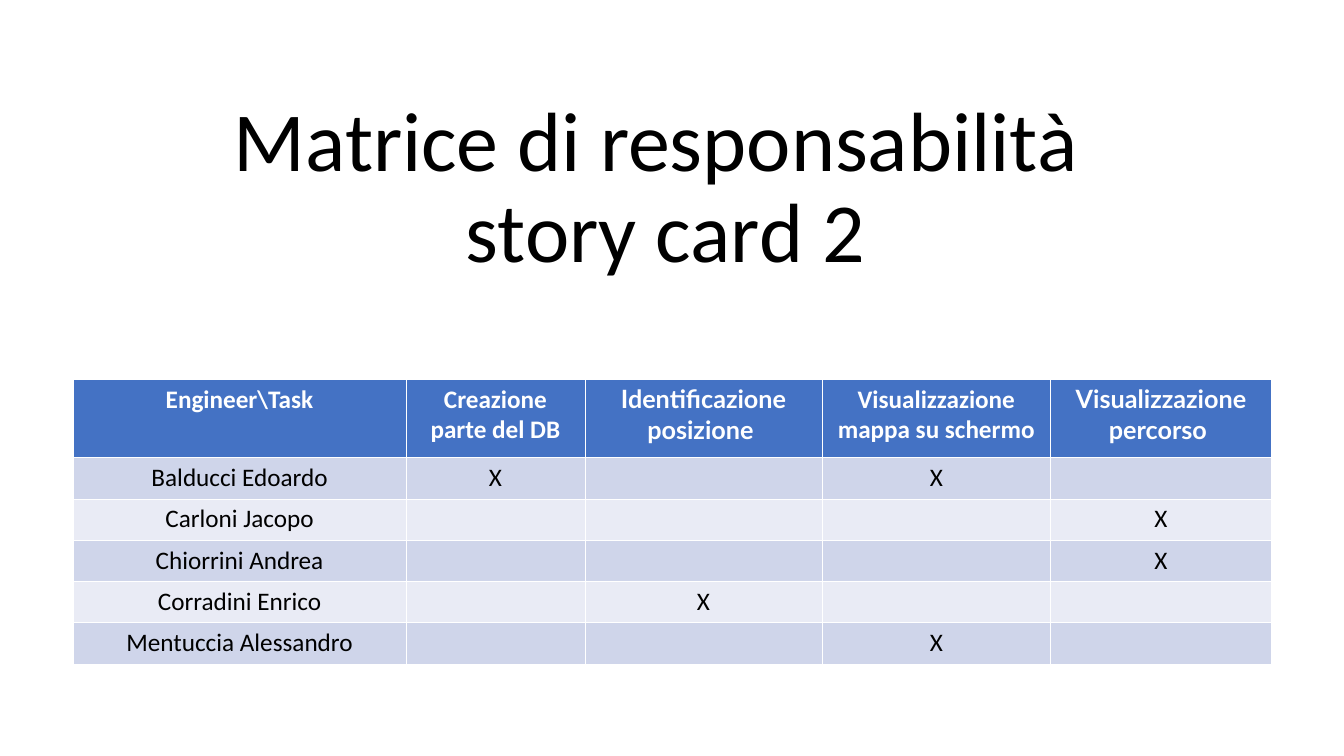
from lxml.etree import SubElement
from pptx import Presentation
from pptx.dml.color import RGBColor
from pptx.enum.text import MSO_ANCHOR as Anchor, PP_ALIGN as Align
from pptx.oxml.ns import qn
from pptx.util import Cm, Pt

TITLE_LINES = ["Matrice di responsabilità ", "story card 2"]
# Task heading, font, column width in cm
TASKS = [
    ("Engineer\\Task", "Calibri", 8.38),
    ("Creazione parte del DB", "Calibri", 4.52),
    ("Identificazione posizione ", "Lato", 5.97),
    ("Visualizzazione mappa su schermo", "Calibri", 5.77),
    ("Visualizzazione percorso ", "Lato", 5.56),
]
# Engineer, columns of the assigned tasks
ENGINEERS = [
    ("Balducci Edoardo", [1, 3]),
    ("Carloni Jacopo", [4]),
    ("Chiorrini Andrea", [4]),
    ("Corradini Enrico", [2]),
    ("Mentuccia Alessandro", [3]),
]
HEADER_HEIGHT, ROW_HEIGHT = 1.98, 1.04
THIN, THICK = Pt(0.45), Pt(1.47)

BLACK = RGBColor(0x00, 0x00, 0x00)
WHITE = RGBColor(0xFF, 0xFF, 0xFF)
BLUE = RGBColor(0x44, 0x72, 0xC4)
BANDS = [RGBColor(0xCF, 0xD5, 0xEA), RGBColor(0xE9, 0xEB, 0xF5)]


def add_span(para, text, size, color, font="Calibri", bold=False):
    span = para.add_run()
    span.text = text
    span.font.size = Pt(size)
    span.font.name = font
    span.font.bold = bold
    span.font.color.rgb = color


def add_borders(cell, top, bottom):
    properties = cell._tc.get_or_add_tcPr()
    for side, width in (("L", THIN), ("R", THIN), ("T", top), ("B", bottom)):
        line = SubElement(properties, qn(f"a:ln{side}"), w=str(int(width)))
        fill = SubElement(line, qn("a:solidFill"))
        SubElement(fill, qn("a:srgbClr"), val=str(WHITE))


def fill_cell(cell, row, text, font="Calibri"):
    header = row == 0
    add_borders(cell, THICK if row == 1 else THIN, THICK if header else THIN)
    cell.fill.solid()
    cell.fill.fore_color.rgb = BLUE if header else BANDS[(row - 1) % 2]
    para = cell.text_frame.paragraphs[0]
    para.alignment = Align.CENTER
    if text:
        add_span(para, text, 18, WHITE if header else BLACK, font, header)


def add_title(page):
    box = page.shapes.add_textbox(Cm(1.55), Cm(1.98), Cm(30.45), Cm(5.21))
    frame = box.text_frame
    frame.word_wrap = True
    frame.vertical_anchor = Anchor.BOTTOM
    para = frame.paragraphs[0]
    para.alignment = Align.CENTER
    para.line_spacing = 0.9
    for number, line in enumerate(TITLE_LINES):
        if number:
            para.add_line_break()
        add_span(para, line, 60, BLACK)


def add_matrix(page):
    heights = [HEADER_HEIGHT] + [ROW_HEIGHT] * len(ENGINEERS)
    widths = [width for _, _, width in TASKS]
    table = page.shapes.add_table(
        len(heights), len(widths), Cm(1.85), Cm(9.55),
        Cm(sum(widths)), Cm(sum(heights))).table
    for row, height in zip(table.rows, heights):
        row.height = Cm(height)
    for col, (task, font, width) in enumerate(TASKS):
        table.columns[col].width = Cm(width)
        fill_cell(table.cell(0, col), 0, task, font)
    for row, (engineer, assigned) in enumerate(ENGINEERS, 1):
        fill_cell(table.cell(row, 0), row, engineer)
        for col in range(1, len(TASKS)):
            fill_cell(table.cell(row, col), row, "X" if col in assigned else "")


def main():
    deck = Presentation()
    deck.slide_width, deck.slide_height = Cm(33.88), Cm(19.05)
    page = deck.slides.add_slide(deck.slide_layouts[6])
    add_title(page)
    add_matrix(page)
    deck.save("out.pptx")


if __name__ == "__main__":
    main()
